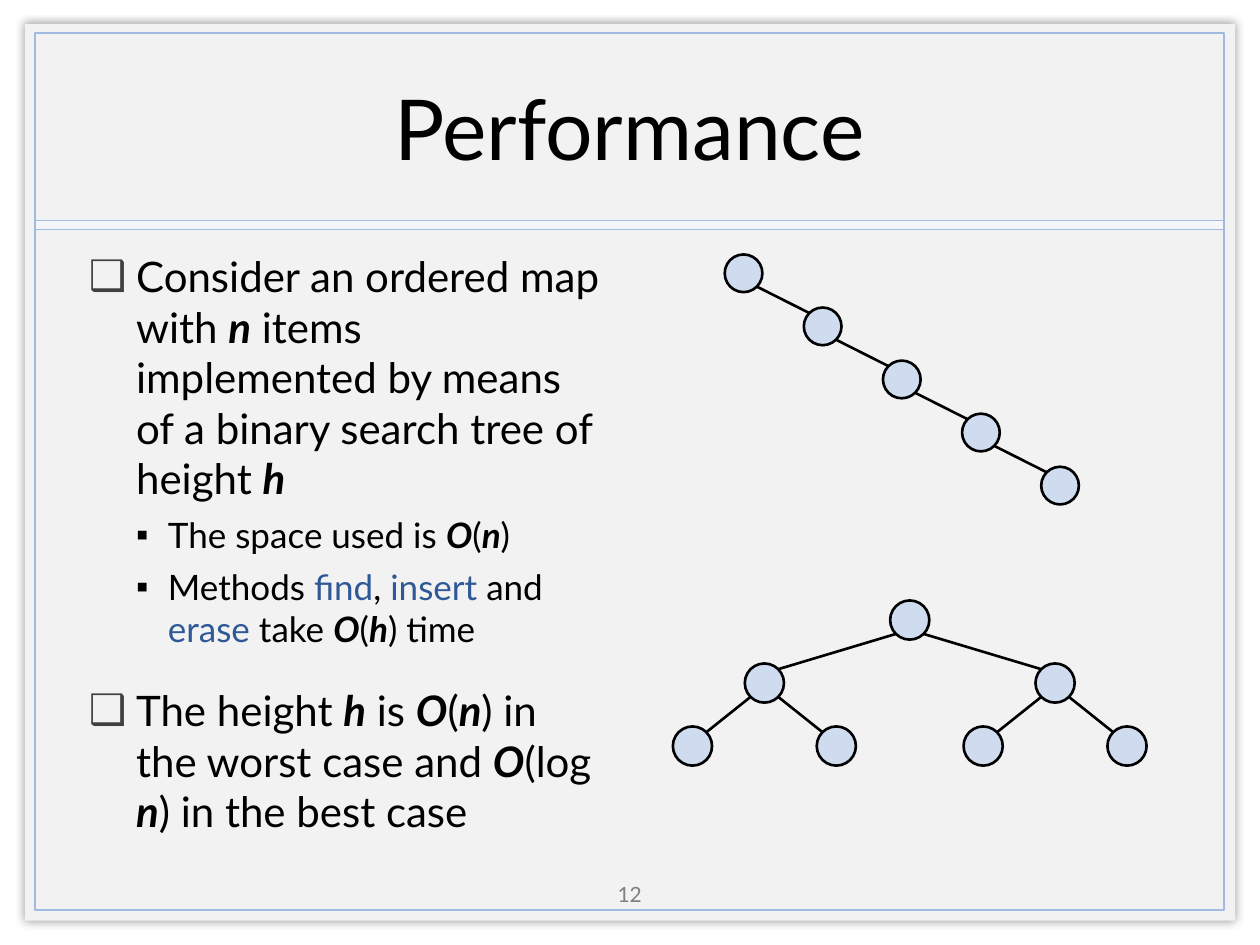
import pptx
import pptx.dml.color
import pptx.enum.shapes
import pptx.enum.text
import pptx.oxml
import pptx.oxml.ns
import pptx.util

Cm, Pt = pptx.util.Cm, pptx.util.Pt
RGB = pptx.dml.color.RGBColor.from_string
KIND = pptx.enum.shapes.MSO_SHAPE
ALIGN = pptx.enum.text.PP_ALIGN
MID = pptx.enum.text.MSO_ANCHOR.MIDDLE
NS = pptx.oxml.ns.nsdecls("a")

# Content. In a bullet, | parts the runs; * marks a variable, ~ a method.
TITLE = "Performance"
NUMBER = "12"
BULLETS = [
    (0, "Consider an ordered map with |*n| items implemented by means "
        "of a binary search tree of height |*h"),
    (1, "The space used is |*O|(|*n|)"),
    (1, "Methods|~ find|, |~insert |and |~erase| take |*O|(|*h|) time"),
    (0, "The height |*h| is |*O|(|*n|) in the worst case and "
        "|*O|(log |*n|) in the best case"),
]

THEME = {
    "font": "Lato", "title": 48, "number": 12,
    "ink": "000000", "grey": "7F7F7F", "method": "2F5897",
    "page": "F2F2F2", "band": "F4F6F9", "rule": "A0BAE1", "node": "CFDCF0",
}
LEVELS = [
    {"size": 24, "before": 20, "left": 0.95, "hang": 0.95,
     "mark": "❑", "tint": "404040"},
    {"size": 20, "before": 6, "left": 1.59, "hang": 0.64,
     "mark": "▪", "tint": "000000"},
]

# Boxes in cm: left, top, width, height
PAGE = (0.5, 0.48, 24.4, 18.08)
FRAME = (0.71, 0.67, 23.96, 17.68)
BAND = (0.71, 4.45, 23.96, 0.18)
HEAD = (0.71, 0.69, 23.96, 3.73)
BODY = (1.54, 4.93, 10.8, 11.71)
FOOT = (11.64, 17.65, 2.11, 0.76)

# Trees: node centres in cm and (parent, child) pairs
CHAIN = {
    "size": 0.76,
    "nodes": [(14.99 + 1.595 * i, 5.51 + 1.07 * i) for i in range(5)],
    "edges": [(i, i + 1) for i in range(4)],
}
ROOT, DROP, SPREAD = (18.34, 12.5), 1.27, (2.93, 1.45)


def full_tree():
    """Lay out a complete binary tree, in heap order."""
    nodes, row = [ROOT], [ROOT]
    for gap in SPREAD:
        row = [(x + side * gap, y + DROP) for x, y in row for side in (-1, 1)]
        nodes += row
    edges = [((i - 1) // 2, i) for i in range(1, len(nodes))]
    return {"size": 0.79, "nodes": nodes, "edges": edges}


def style(thing, **values):
    for name, value in values.items():
        setattr(thing, name, value)


def place(shape, box):
    left, top, width, height = map(Cm, box)
    style(shape, left=left, top=top, width=width, height=height)


def add_run(para, text, size, color="ink", **flags):
    run = para.add_run()
    run.text = text
    style(run.font, name=THEME["font"], size=Pt(size), **flags)
    run.font.color.rgb = RGB(THEME[color])


def draw(slide, kind, box, fill=None, line=None, width=1.0):
    shape = slide.shapes.add_shape(kind, *map(Cm, box))
    shape.shadow.inherit = False
    if fill:
        shape.fill.solid()
        shape.fill.fore_color.rgb = RGB(THEME[fill])
    else:
        shape.fill.background()
    if line:
        shape.line.color.rgb = RGB(THEME[line])
        shape.line.width = Pt(width)
    else:
        shape.line.fill.background()
    return shape


def cast(shape):
    """Put a soft shadow all round the shape."""
    effects = shape.element.spPr.find(pptx.oxml.ns.qn("a:effectLst"))
    effects.append(pptx.oxml.parse_xml(
        f'<a:outerShdw {NS} blurRad="{Pt(5)}" dist="0" algn="ctr" '
        'rotWithShape="0"><a:srgbClr val="000000"><a:alpha val="40000"/>'
        '</a:srgbClr></a:outerShdw>'))


def add_edge(slide, start, end, size):
    """Join two nodes at the points 45 degrees round their rims."""
    reach = size / 2 * 0.5 ** 0.5
    side = reach if end[0] > start[0] else -reach
    line = slide.shapes.add_connector(
        pptx.enum.shapes.MSO_CONNECTOR.STRAIGHT,
        Cm(start[0] + side), Cm(start[1] + reach),
        Cm(end[0] - side), Cm(end[1] - reach))
    line.line.color.rgb = RGB(THEME["ink"])
    line.line.width = Pt(1.5)
    line.element.spPr.append(pptx.oxml.parse_xml(f"<a:effectLst {NS}/>"))


def add_tree(slide, tree):
    nodes, size = tree["nodes"], tree["size"]
    for up, down in tree["edges"]:
        add_edge(slide, nodes[up], nodes[down], size)
    for x, y in nodes:
        box = (x - size / 2, y - size / 2, size, size)
        draw(slide, KIND.OVAL, box, "node", "ink", 1.5)


def add_bullet(para, level, text):
    look = LEVELS[level]
    style(para, level=level, space_before=Pt(look["before"]),
          alignment=ALIGN.LEFT)
    props = para._p.get_or_add_pPr()
    props.set("marL", str(Cm(look["left"])))
    props.set("indent", str(-Cm(look["hang"])))
    for xml in (f'<a:buClr {NS}><a:srgbClr val="{look["tint"]}"/></a:buClr>',
                f'<a:buChar {NS} char="{look["mark"]}"/>'):
        props.append(pptx.oxml.parse_xml(xml))
    for part in text.split("|"):
        var = part.startswith("*")
        color = "method" if part.startswith("~") else "ink"
        add_run(para, part.lstrip("*~"), look["size"], color,
                bold=var, italic=var)


def add_line(shape, box, text, size, color):
    """Fill a shape with one centred line of text."""
    place(shape, box)
    frame = shape.text_frame
    style(frame, word_wrap=True, vertical_anchor=MID,
          auto_size=pptx.enum.text.MSO_AUTO_SIZE.NONE)
    frame.paragraphs[0].alignment = ALIGN.CENTER
    add_run(frame.paragraphs[0], text, size, color)


def main():
    deck = pptx.Presentation()
    style(deck, slide_width=Cm(25.4), slide_height=Cm(19.05))
    slide = deck.slides.add_slide(deck.slide_layouts[1])
    title, body = slide.placeholders

    cast(draw(slide, KIND.RECTANGLE, PAGE, "page"))
    draw(slide, KIND.RECTANGLE, FRAME, line="rule")
    draw(slide, KIND.RECTANGLE, BAND, "band", "rule", 0.25)
    for holder in (title, body):  # bring the text in front of the frame
        slide.shapes.element.append(holder.element)

    add_line(title, HEAD, TITLE, THEME["title"], "ink")
    foot = slide.shapes.add_textbox(*map(Cm, FOOT))
    add_line(foot, FOOT, NUMBER, THEME["number"], "grey")

    place(body, BODY)
    frame = body.text_frame
    style(frame, word_wrap=True, auto_size=pptx.enum.text.MSO_AUTO_SIZE.NONE)
    for i, (level, text) in enumerate(BULLETS):
        para = frame.add_paragraph() if i else frame.paragraphs[0]
        add_bullet(para, level, text)

    for tree in (CHAIN, full_tree()):
        add_tree(slide, tree)
    deck.save("out.pptx")


if __name__ == "__main__":
    main()
